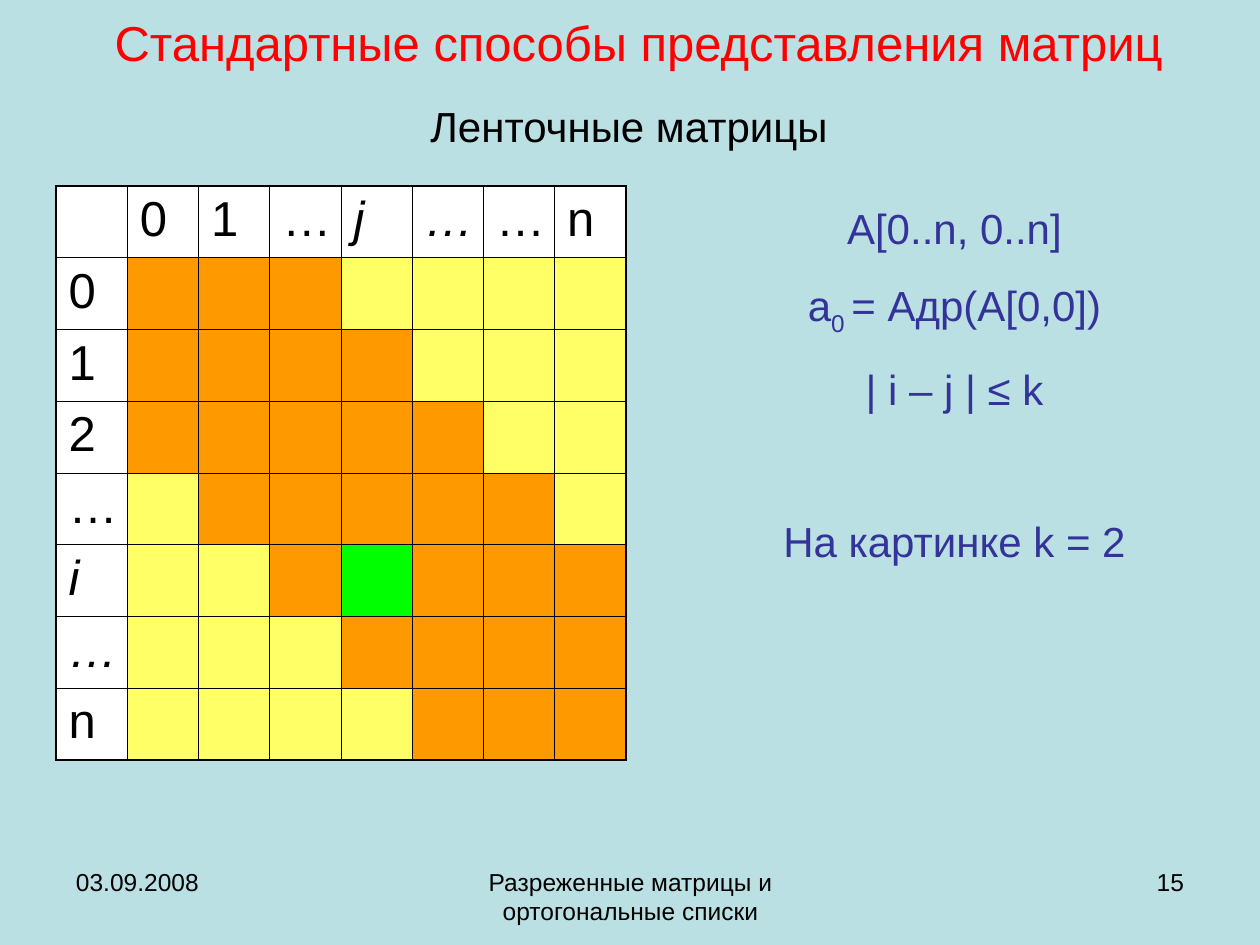
from lxml import etree
from pptx import Presentation
from pptx.dml.color import RGBColor
from pptx.enum.text import MSO_ANCHOR, PP_ALIGN
from pptx.oxml.ns import qn
from pptx.util import Emu, Pt

LEFT, CENTER, RIGHT = PP_ALIGN.LEFT, PP_ALIGN.CENTER, PP_ALIGN.RIGHT
TOP, MIDDLE = MSO_ANCHOR.TOP, MSO_ANCHOR.MIDDLE
SCALE = 914400 / 126
COLORS = {
    "background": "BBE0E3",
    "title": "FF0000",
    "formula": "333399",
    "text": "000000",
    "header": "FFFFFF",
    "band": "FF9900",
    "outside": "FFFF66",
    "current": "00FF00",
}


def px(n):
    return Emu(round(n * SCALE))


def add_text(box, paragraphs, size, color, align=CENTER, anchor=TOP, insets=(13, 6, 13, 6)):
    tf = s.shapes.add_textbox(*map(px, box)).text_frame
    tf.word_wrap = True
    tf.vertical_anchor = anchor
    tf.margin_left, tf.margin_top, tf.margin_right, tf.margin_bottom = map(px, insets)
    for n, (space, runs) in enumerate(paragraphs):
        p = tf.add_paragraph() if n else tf.paragraphs[0]
        p.alignment = align
        p.space_before = Pt(space)
        for text, baseline in runs:
            r = p.add_run()
            r.text = text
            r.font.size = Pt(size)
            r.font.name = "Arial"
            r.font.color.rgb = RGBColor.from_string(COLORS[color])
            if baseline:
                r.font._element.set("baseline", str(baseline))


prs = Presentation()
prs.slide_width, prs.slide_height = px(1260), px(945)
s = prs.slides.add_slide(prs.slide_layouts[6])
s.background.fill.solid()
s.background.fill.fore_color.rgb = RGBColor.from_string(COLORS["background"])

add_text((73, 21, 1134, 42), [(0, [("Стандартные способы представления матриц", 0)])],
         28, "title", anchor=MIDDLE, insets=(2, 1, 5, 1))

columns = ["", "0", "1", "…", "j", "…", "…", "n"]
rows = ["", "0", "1", "2", "…", "i", "…", "n"]
italic_cells = {(0, 4), (0, 5), (5, 0), (6, 0)}
count = len(rows)
half_width = 2

table = s.shapes.add_table(count, count, px(56), px(186), px(570), px(574)).table
for i in range(count):
    for j in range(count):
        cell = table.cell(i, j)
        if i == 0 or j == 0:
            fill = "header"
            cell.text = columns[j] if i == 0 else rows[i]
        elif (rows[i], columns[j]) == ("i", "j"):
            fill = "current"
        else:
            fill = "band" if abs(i - j) <= half_width else "outside"
        for r in cell.text_frame.paragraphs[0].runs:
            r.font.size = Pt(28)
            r.font.name = "Arial"
            r.font.bold = False
            r.font.italic = (i, j) in italic_cells
            r.font.color.rgb = RGBColor.from_string(COLORS["text"])
        tcPr = cell._tc.get_or_add_tcPr()
        edges = {"lnL": j == 0, "lnR": j == count - 1, "lnT": i == 0, "lnB": i == count - 1}
        for side, outer in edges.items():
            ln = etree.SubElement(tcPr, qn("a:" + side), w=str(Pt(1.08 if outer else 0.45)))
            solid = etree.SubElement(ln, qn("a:solidFill"))
            etree.SubElement(solid, qn("a:srgbClr"), val=COLORS["text"])
        cell.fill.solid()
        cell.fill.fore_color.rgb = RGBColor.from_string(COLORS[fill])

add_text((649, 197, 611, 377), [
    (0, [("A[0..n, 0..n]", 0)]),
    (15, [("a", 0), ("0 ", -25000), ("= Адр(A[0,0])", 0)]),
    (15, [("| i – j | ≤ k", 0)]),
    (58, [("На картинке k = 2", 0)]),
], 24, "formula")
add_text((161, 95, 936, 63), [(0, [("Ленточные матрицы", 0)])], 24, "text")

footers = [
    (63, 294, "03.09.2008", LEFT),
    (431, 399, "Разреженные матрицы и ортогональные списки", CENTER),
    (903, 294, "15", RIGHT),
]
for left, width, text, align in footers:
    add_text((left, 861, width, 66), [(0, [(text, 0)])], 14, "text", align)

prs.save("out.pptx")
